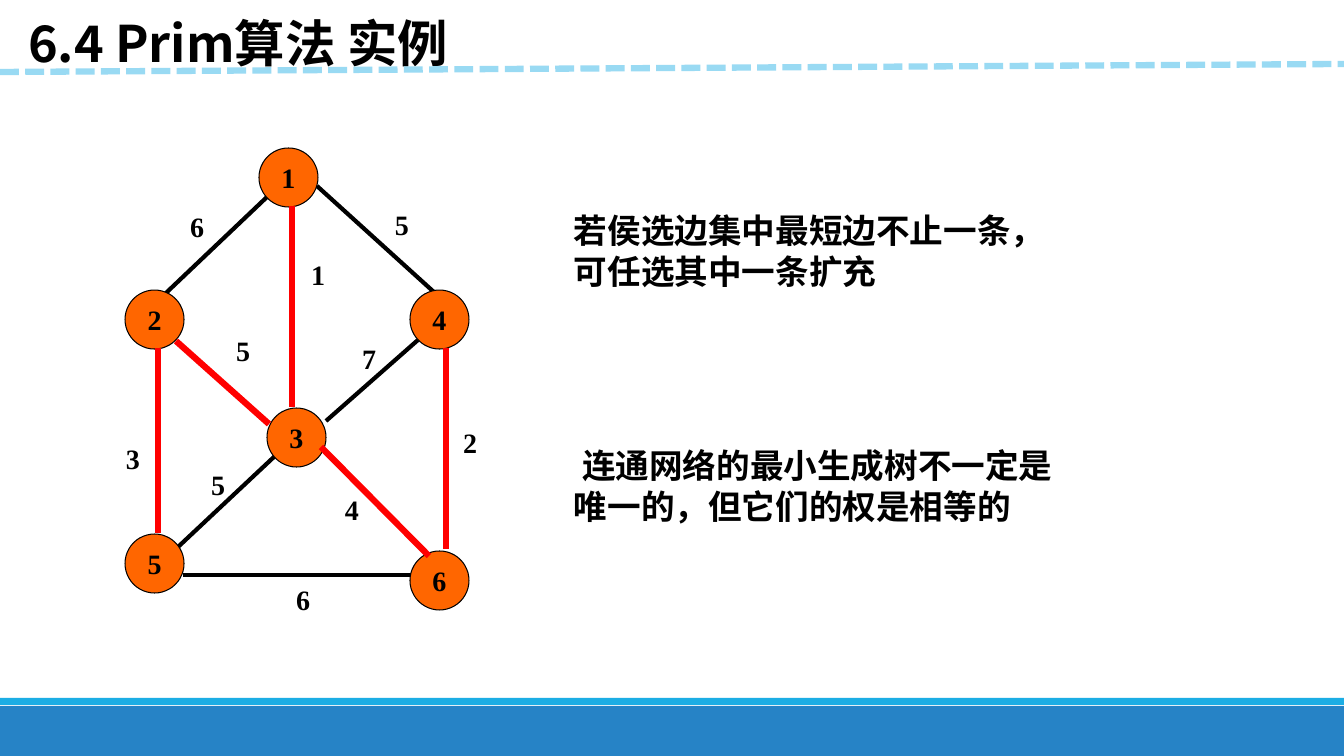
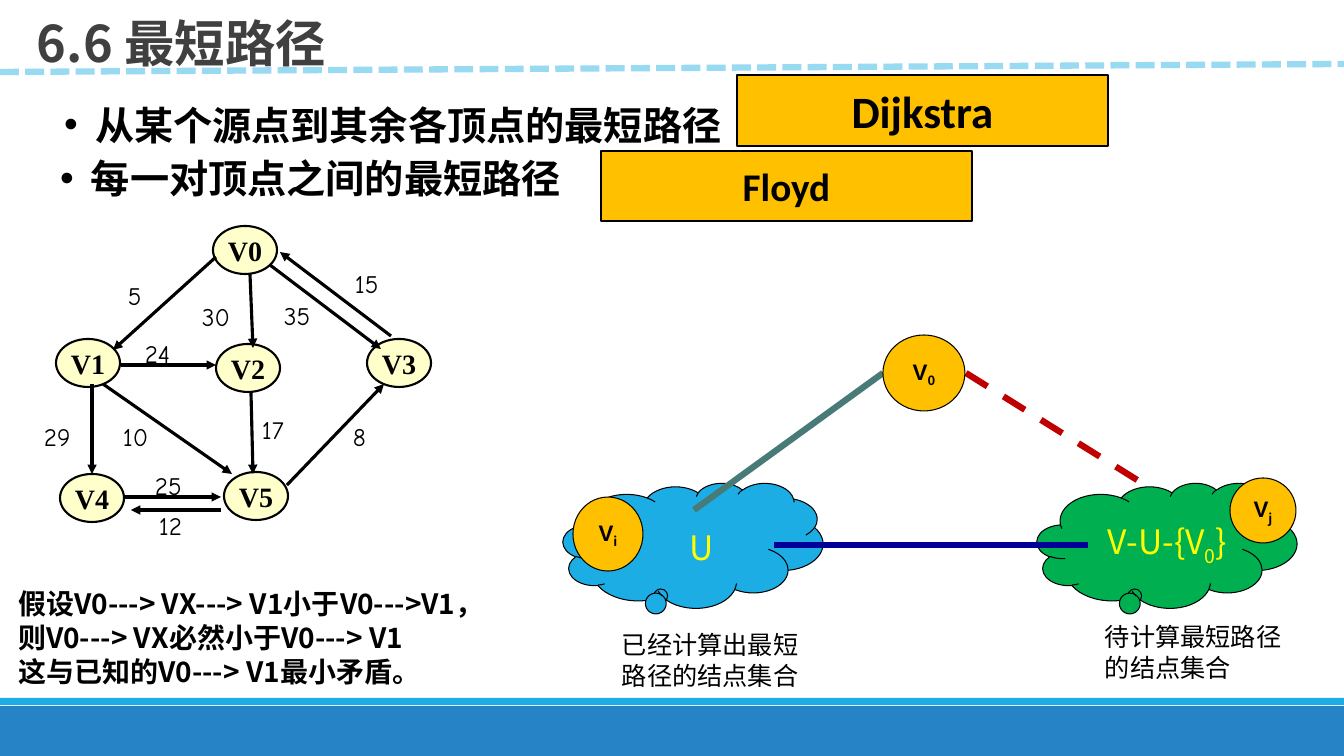
from lxml import etree
from pptx import Presentation, util as u
from pptx.dml.color import RGBColor
from pptx.enum import dml, shapes, text
from pptx.oxml import ns

WIDE, HIGH = 1344, 756
SCALE = 12192000 / WIDE
KIND = shapes.MSO_SHAPE
CENTER, LEFT = text.PP_ALIGN.CENTER, text.PP_ALIGN.LEFT
TOP, MIDDLE = text.MSO_ANCHOR.TOP, text.MSO_ANCHOR.MIDDLE


class Theme:
    black, gray = "000000", "404040"
    band, strip, dash = "2683C6", "1CADE4", "99DAF3"
    orange, cream, gold = "FF6600", "FFFFCC", "FFC000"
    red, crimson, navy, teal = "FF0000", "C00000", "000099", "487B78"
    sky, green, yellow = "1CADE4", "00B050", "FFFF00"
    sans, serif, comic = "Noto Sans CJK SC", "Times New Roman", "Comic Neue"
    leading = 1.22
    title = dict(name=sans, size=36, bold=True)
    bullet = dict(name=sans, size=28, bold=True)
    note = dict(name=sans, size=24, bold=True)
    proof = dict(name=sans, size=20, bold=True)
    cloud = dict(name=sans, size=24, bold=False, color=yellow)
    caption = dict(name=sans, size=18, bold=False)
    node = dict(name=serif, size=20, bold=True)
    weight = dict(name=comic, size=18, bold=False)
    point = dict(name="Arial", size=16, bold=True)
    large = dict(name="Calibri", size=32, bold=True)
    small = dict(name="Calibri", size=28, bold=True)


def px(n):
    return u.Emu(round(n * SCALE))


def rgb(code):
    return RGBColor.from_string(code)


def apply(item, values):
    for key, value in values.items():
        setattr(item, key, value)


def add_run(para, words, style, sub):
    run = para.add_run()
    run.text = words
    name = Theme.sans if sub else style["name"]
    apply(run.font, dict(name=name, size=u.Pt(style["size"]), bold=style["bold"]))
    run.font.color.rgb = rgb(style.get("color", Theme.black))
    props = run._r.get_or_add_rPr()
    etree.SubElement(props, ns.qn("a:ea"), typeface=name)
    if sub:
        props.set("baseline", "-25000")


def write(shape, lines, style, align=LEFT, anchor=TOP, wrap=True, pad=(10, 5)):
    frame = shape.text_frame
    side, edge = map(px, pad)
    apply(frame, dict(word_wrap=wrap, auto_size=text.MSO_AUTO_SIZE.NONE,
                      vertical_anchor=anchor, margin_left=side, margin_right=side,
                      margin_top=edge, margin_bottom=edge))
    for i, line in enumerate(lines):
        para = frame.add_paragraph() if i else frame.paragraphs[0]
        apply(para, dict(alignment=align, space_before=u.Pt(0)))
        if style["name"] == Theme.sans:
            para.line_spacing = u.Pt(round(style["size"] * Theme.leading, 1))
        for k, words in enumerate(line.split("|")):
            if words:
                add_run(para, words, style, k % 2)
    return frame.paragraphs


class Area:
    def __init__(self, slide, x=0, y=0):
        self.shapes, self.x, self.y = slide.shapes, x, y

    def box(self, x, y, w, h):
        return px(self.x + x), px(self.y + y), px(w), px(h)

    def shape(self, kind, box, fill, line=None):
        item = self.shapes.add_shape(kind, *self.box(*box))
        item.shadow.inherit = False
        item.fill.solid()
        item.fill.fore_color.rgb = rgb(fill)
        if line:
            item.line.color.rgb = rgb(Theme.black)
            item.line.width = u.Pt(line)
        else:
            item.line.fill.background()
        return item

    def node(self, box, fill, line, label, style):
        item = self.shape(KIND.OVAL, box, fill, line)
        write(item, [label], style, CENTER, MIDDLE, False, (0, 0))

    def label(self, box, lines, style, **form):
        item = self.shapes.add_textbox(*self.box(*box))
        return write(item, lines, style, **form)

    def line(self, ends, color, width, dash=None, arrow=False):
        x1, y1, x2, y2 = ends
        item = self.shapes.add_connector(
            shapes.MSO_CONNECTOR.STRAIGHT, px(self.x + x1), px(self.y + y1),
            px(self.x + x2), px(self.y + y2))
        item.line.color.rgb = rgb(color)
        apply(item.line, dict(width=u.Pt(width), dash_style=dash))
        if arrow:
            etree.SubElement(item.line._get_or_add_ln(), ns.qn("a:tailEnd"), type="triangle")
        etree.SubElement(item._element.spPr, ns.qn("a:effectLst"))


def frame(deck, layout, title, left, color):
    slide = deck.slides.add_slide(deck.slide_layouts[layout])
    area = Area(slide)
    area.shape(KIND.RECTANGLE, (0, 706, WIDE, 50), Theme.band)
    area.shape(KIND.RECTANGLE, (0, 698, WIDE, 7), Theme.strip)
    area.line((0, 72, WIDE, 64), Theme.dash, 4.5, dml.MSO_LINE.SQUARE_DOT)
    place(slide.shapes.title, area.box(left, 6, 520, 60))
    write(slide.shapes.title, [title], dict(Theme.title, color=color))
    return slide


def place(item, box):
    apply(item, dict(zip(("left", "top", "width", "height"), box)))


def tree(slide, x, y):
    area = Area(slide, x, y)
    for ends in ((167, 57, 66, 153), (175, 316, 78, 407), (83, 435, 314, 435),
                 (217, 46, 335, 153), (318, 200, 226, 281)):
        area.line(ends, Theme.black, 3)
    spots = (159, 8), (25, 150), (167, 268), (310, 150), (25, 394), (310, 411)
    for i, spot in enumerate(spots, 1):
        area.node((*spot, 59, 59), Theme.orange, 0.75, str(i), Theme.node)
    for ends in ((192, 66, 192, 267), (221, 307, 329, 416), (346, 208, 346, 409),
                 (76, 201, 169, 284), (58, 208, 58, 393)):
        area.line(ends, Theme.red, 4.5)
    for cost, left, top in ((6, 80, 65), (1, 201, 113), (5, 285, 63), (5, 126, 189),
                            (7, 252, 197), (5, 101, 323), (2, 353, 281),
                            (6, 186, 438), (4, 235, 348), (3, 16, 297)):
        area.label((left, top, 34, 43), [str(cost)], Theme.node, wrap=False)


def paths(slide, x, y):
    area = Area(slide, x, y)
    spots = (183, 6), (26, 119), (186, 124), (337, 119), (30, 254), (194, 252)
    for i, spot in enumerate(spots):
        area.node((*spot, 64, 48), Theme.cream, 1.5, f"V{i}", Theme.node)
    for ends in ((186, 37, 83, 130), (240, 45, 351, 129), (73, 164, 202, 254),
                 (257, 265, 354, 164), (95, 277, 191, 277), (62, 164, 62, 254),
                 (221, 172, 223, 254), (191, 290, 101, 290), (91, 145, 186, 145),
                 (220, 54, 223, 128), (361, 116, 250, 32)):
        area.line(ends, Theme.black, 2.25, arrow=True)
    for cost, left, top in ((10, 83, 196), (5, 88, 55), (17, 222, 189), (8, 313, 196),
                            (25, 115, 245), (29, 4, 196), (35, 244, 75), (30, 162, 76),
                            (24, 105, 113), (15, 315, 43), (12, 119, 285)):
        area.label((left, top, 50, 40), [str(cost)], Theme.weight, wrap=False)


def clouds(slide, x, y):
    area = Area(slide, x, y)
    for left, fill in ((3, Theme.sky), (477, Theme.green)):
        cloud = area.shape(KIND.CLOUD_CALLOUT, (left, 153, 260, 125), fill, 0.75)
        cloud.adjustments[0], cloud.adjustments[1] = -0.12, 0.39
    area.label((120, 191, 46, 50), ["U"], Theme.cloud, wrap=False)
    area.label((538, 191, 154, 50), ["V-U-{V|0|}"], Theme.cloud, wrap=False)
    area.line((406, 43, 582, 153), Theme.crimson, 4.5, dml.MSO_LINE.DASH)
    area.line((214, 215, 528, 215), Theme.navy, 4.5)
    area.line((134, 180, 323, 43), Theme.teal, 4.5)
    for box, name in (((323, 5, 82, 76), "V|0"), ((13, 167, 70, 74), "V|i"),
                      ((670, 148, 66, 65), "V|j")):
        area.node(box, Theme.gold, 0.75, name, Theme.point)
    for box, words in (((52, 294, 205, 71), "已经计算出最短路径的结点集合"),
                       ((535, 286, 200, 71), "待计算最短路径的结点集合")):
        area.label(box, [words], Theme.caption, anchor=MIDDLE)


def topics(slide, x, y):
    area = Area(slide, x, y)
    body = slide.placeholders[1]
    place(body, area.box(0, 20, 760, 110))
    paras = write(body, ["从某个源点到其余各顶点的最短路径", "每一对顶点之间的最短路径"], Theme.bullet)
    for para, left in zip(paras, (85, 81)):
        props = para._p.get_or_add_pPr()
        props.set("marL", str(px(left)))
        props.set("indent", str(px(-31)))
        etree.SubElement(props, ns.qn("a:buChar"), char="•")
    paras[1].space_before = u.Pt(4)
    for box, name, style in (((737, 0, 371, 71), "Dijkstra", Theme.large),
                             ((601, 76, 371, 70), "Floyd", Theme.small)):
        item = area.shape(KIND.RECTANGLE, box, Theme.gold, 1.25)
        write(item, [name], style, CENTER, MIDDLE)


def prim(deck):
    slide = frame(deck, 5, "6.4 Prim算法 实例", 18, Theme.black)
    tree(slide, 100, 140)
    area = Area(slide, 564, 204)
    area.label((0, 0, 495, 92), ["若侯选边集中最短边不止一条，可任选其中一条扩充"],
               Theme.note, anchor=MIDDLE)
    last = area.label((0, 235, 505, 92), ["连通网络的最小生成树不一定是唯一的，但它们的权是相等的"],
                      Theme.note, anchor=MIDDLE)[0]
    last._p.get_or_add_pPr().set("indent", str(px(8)))


def shortest(deck):
    slide = frame(deck, 1, "6.6 最短路径", 27, Theme.gray)
    topics(slide, 0, 75)
    Area(slide, 8, 581).label(
        (0, 0, 565, 112),
        ["假设V0---> VX---> V1小于V0--->V1，", "则V0---> VX必然小于V0---> V1",
         "这与已知的V0---> V1最小矛盾。"], Theme.proof)
    paths(slide, 30, 220)
    clouds(slide, 560, 330)


def main():
    deck = Presentation()
    apply(deck, dict(slide_width=px(WIDE), slide_height=px(HIGH)))
    prim(deck)
    shortest(deck)
    deck.save("out.pptx")


if __name__ == "__main__":
    main()
